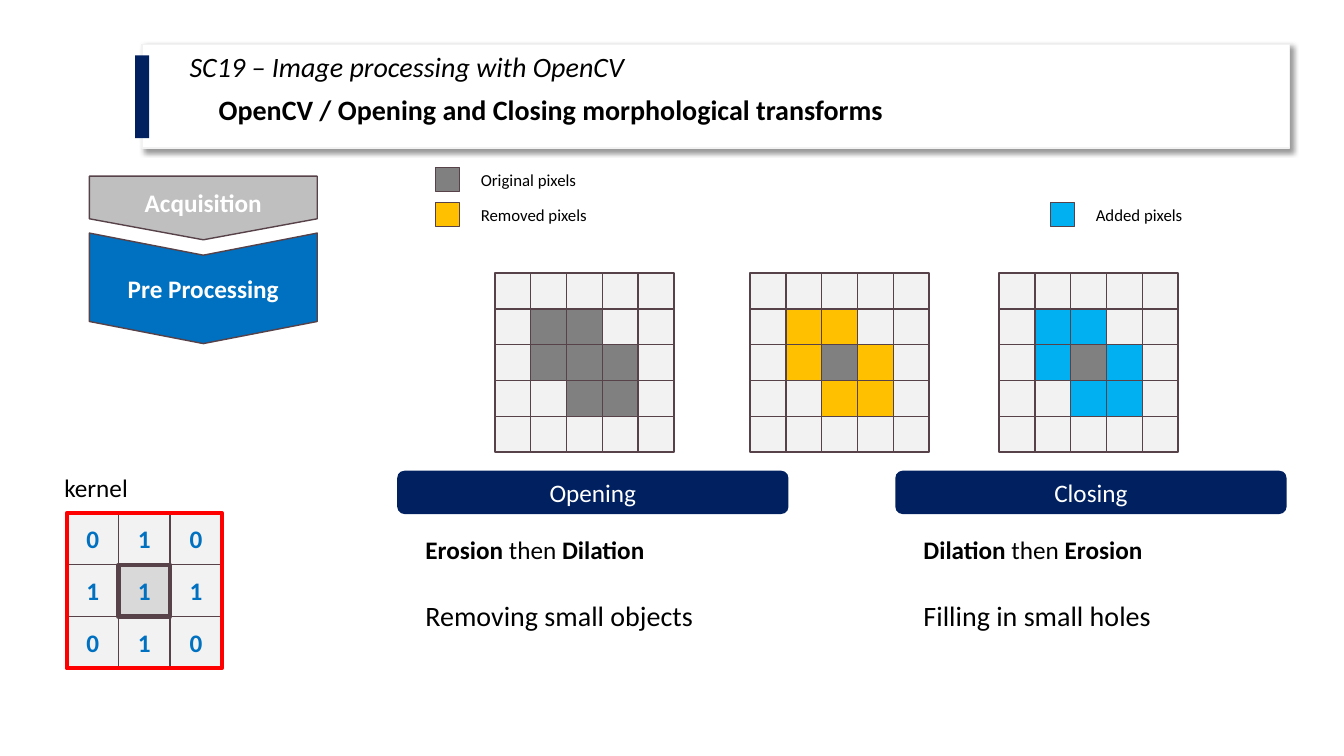
from lxml.etree import SubElement
from pptx import Presentation
from pptx.dml.color import RGBColor as Rgb
from pptx.enum.shapes import MSO_SHAPE as Kind
from pptx.enum.text import MSO_ANCHOR as Anchor, MSO_AUTO_SIZE as Auto, PP_ALIGN as Align
from pptx.oxml.ns import qn
from pptx.util import Inches, Pt

HUE = {"black": "000000", "white": "FFFFFF", "navy": "002060", "blue": "0070C0",
       "edge": "574249", "pale": "F2F2F2", "mid": "D9D9D9", "silver": "BFBFBF",
       "gray": "808080", "gold": "FFC000", "sky": "00B0F0", "red": "FF0000"}
PAGE = (0, 0, 13.33, 7.5)
BLOB = [".....", ".ab..", ".cde.", "..fg.", "....."]


def tint(name):
    """Return the colour with this name."""
    return Rgb.from_string(HUE[name])


def part(box, x, y, w, h):
    """Return a box from percent shares of an outer box."""
    left, top, wide, high = box
    return (left + wide * x / 100, top + high * y / 100, wide * w / 100, high * h / 100)


def units(box):
    """Turn a box into slide lengths."""
    return [Inches(n) for n in box]


def style(para, size, color="black", bold=False, italic=False, align=Align.LEFT):
    """Set the font and alignment of a paragraph."""
    para.alignment = align
    font = para.font
    font.name, font.size = "Calibri", Pt(size)
    font.bold, font.italic = bold, italic
    font.color.rgb = tint(color)


def shape(slide, box, fill=None, line=None, width=1, kind=Kind.RECTANGLE):
    """Add a flat shape."""
    item = slide.shapes.add_shape(kind, *units(box))
    item.shadow.inherit = False
    if fill:
        item.fill.solid()
        item.fill.fore_color.rgb = tint(fill)
    else:
        item.fill.background()
    if line:
        item.line.color.rgb = tint(line)
        item.line.width = Pt(width)
    else:
        item.line.fill.background()
    return item


def label(item, text, color, bold=True):
    """Centre a caption in a shape."""
    frame = item.text_frame
    frame.vertical_anchor = Anchor.MIDDLE
    frame.text = text
    style(frame.paragraphs[0], 18, color, bold, align=Align.CENTER)


def note(slide, box, text, size, bold=False):
    """Add a wrapping text box and return its frame."""
    frame = slide.shapes.add_textbox(*units(box)).text_frame
    frame.word_wrap = True
    frame.text = text
    style(frame.paragraphs[0], size, bold=bold)
    return frame


def shade(item):
    """Cast a soft shadow to the lower right."""
    glow = item.element.spPr.find(qn("a:effectLst"))
    cast = SubElement(glow, qn("a:outerShdw"), blurRad=str(Pt(4)), dist=str(Pt(3)),
                      dir="2700000", algn="tl", rotWithShape="0")
    color = SubElement(cast, qn("a:srgbClr"), val=HUE["black"])
    SubElement(color, qn("a:alpha"), val="40000")


def banner(slide, box):
    """Draw the title card."""
    shade(shape(slide, part(box, 0.61, 0, 99.39, 100), "white", "pale"))
    title = slide.shapes.title
    title.element.getparent().append(title.element)
    title.left, title.top, title.width, title.height = units(part(box, 3.84, 3.9, 79.91, 74.8))
    frame = title.text_frame
    frame.text = "SC19 – Image processing with OpenCV"
    frame.vertical_anchor, frame.auto_size = Anchor.TOP, Auto.NONE
    para = frame.paragraphs[0]
    para.line_spacing = 0.9
    style(para, 20, italic=True)
    shape(slide, part(box, 0, 10.7, 1.22, 79.6), "navy")
    note(slide, part(box, 6.38, 41.75, 72.14, 42.7),
         "OpenCV / Opening and Closing morphological transforms", 20, True)


def step(slide, box, kind, bend, fill, text):
    """Draw a downward step with upright text."""
    x, y, w, h = box
    turned = (x + (w - h) / 2, y + (h - w) / 2, h, w)
    item = shape(slide, turned, fill, "edge", kind=kind)
    item.rotation = 90
    item.adjustments[0] = bend
    label(item, text, "white")
    item.text_frame._txBody.bodyPr.set("vert", "vert270")


def steps(slide, box):
    """Stack the two process steps."""
    step(slide, part(box, 0, 34, 100, 66), Kind.CHEVRON, 0.2, "blue", "Pre Processing")
    step(slide, part(box, 0, 0, 100, 38), Kind.PENTAGON, 0.33, "silver", "Acquisition")


def cells(box, rows):
    """Yield each mark of a square grid with its box."""
    size = 100 / len(rows)
    for r, row in enumerate(rows):
        for c, mark in enumerate(row):
            yield mark, part(box, c * size, r * size, size, size)


def kernel(slide, box):
    """Draw the kernel with its framed centre."""
    note(slide, part(box, 0, 0, 77.1, 20.1), "kernel", 18)
    grid = part(box, 7.4, 22.6, 92.6, 77.4)
    spots = list(cells(grid, ["010", "111", "010"]))
    core = spots.pop(4)
    for mark, spot in spots:
        label(shape(slide, spot, "pale", "edge"), mark, "blue")
    shape(slide, grid, None, "red", 3)
    label(shape(slide, core[1], "mid", "edge", 3), core[0], "blue")


def pixels(slide, box, rim):
    """Draw the pixel grid, with the rim of the blob in one colour."""
    for mark, spot in cells(box, BLOB):
        fill = {".": "pale", "d": "gray"}.get(mark, rim)
        shape(slide, spot, fill, "edge")


def key(slide, box, fill, text):
    """Draw a legend entry."""
    shape(slide, part(box, 0, 10, 11.54, 80), fill, "edge")
    note(slide, part(box, 16.83, 0, 83.17, 100), text, 12)


def method(slide, box, name, first, last, use):
    """Draw a transform heading with its steps and use."""
    head = shape(slide, part(box, 0, 0, 100, 25.9), "navy", kind=Kind.ROUNDED_RECTANGLE)
    label(head, name, "white", False)
    frame = note(slide, part(box, 4.64, 34.94, 90.72, 65.06), "", 18)
    para = frame.paragraphs[0]
    style(para, 18, align=Align.JUSTIFY)
    for text, bold in ((first, True), (" then ", False), (last, True)):
        run = para.add_run()
        run.text, run.font.bold = text, bold
    para = frame.add_paragraph()
    para.text = use
    para.space_before = Pt(24)
    style(para, 20, align=Align.JUSTIFY)


def main():
    """Build and save the slide."""
    deck = Presentation()
    deck.slide_width, deck.slide_height = units(PAGE[2:])
    slide = deck.slides.add_slide(deck.slide_layouts[5])
    banner(slide, part(PAGE, 10.05, 5.87, 85.9, 13.73))
    steps(slide, part(PAGE, 6.65, 23.3, 16.95, 22.15))
    kernel(slide, part(PAGE, 4.05, 61.87, 12.45, 26.53))
    for x, *words in ((66.62, "Closing", "Dilation", "Erosion", "Filling in small holes"),
                      (29.56, "Opening", "Erosion", "Dilation", "Removing small objects")):
        method(slide, part(PAGE, x, 62.27, 29.11, 22.13), *words)
    for x, rim in ((36.83, "gray"), (55.81, "gold"), (74.34, "sky")):
        pixels(slide, part(PAGE, x, 36.13, 13.32, 23.67), rim)
    for x, y, fill, text in ((32.41, 21.73, "gray", "Original pixels"),
                             (32.41, 26.4, "gold", "Removed pixels"),
                             (78.17, 26.4, "sky", "Added pixels")):
        key(slide, part(PAGE, x, y, 15.6, 4), fill, text)
    deck.save("out.pptx")


if __name__ == "__main__":
    main()
